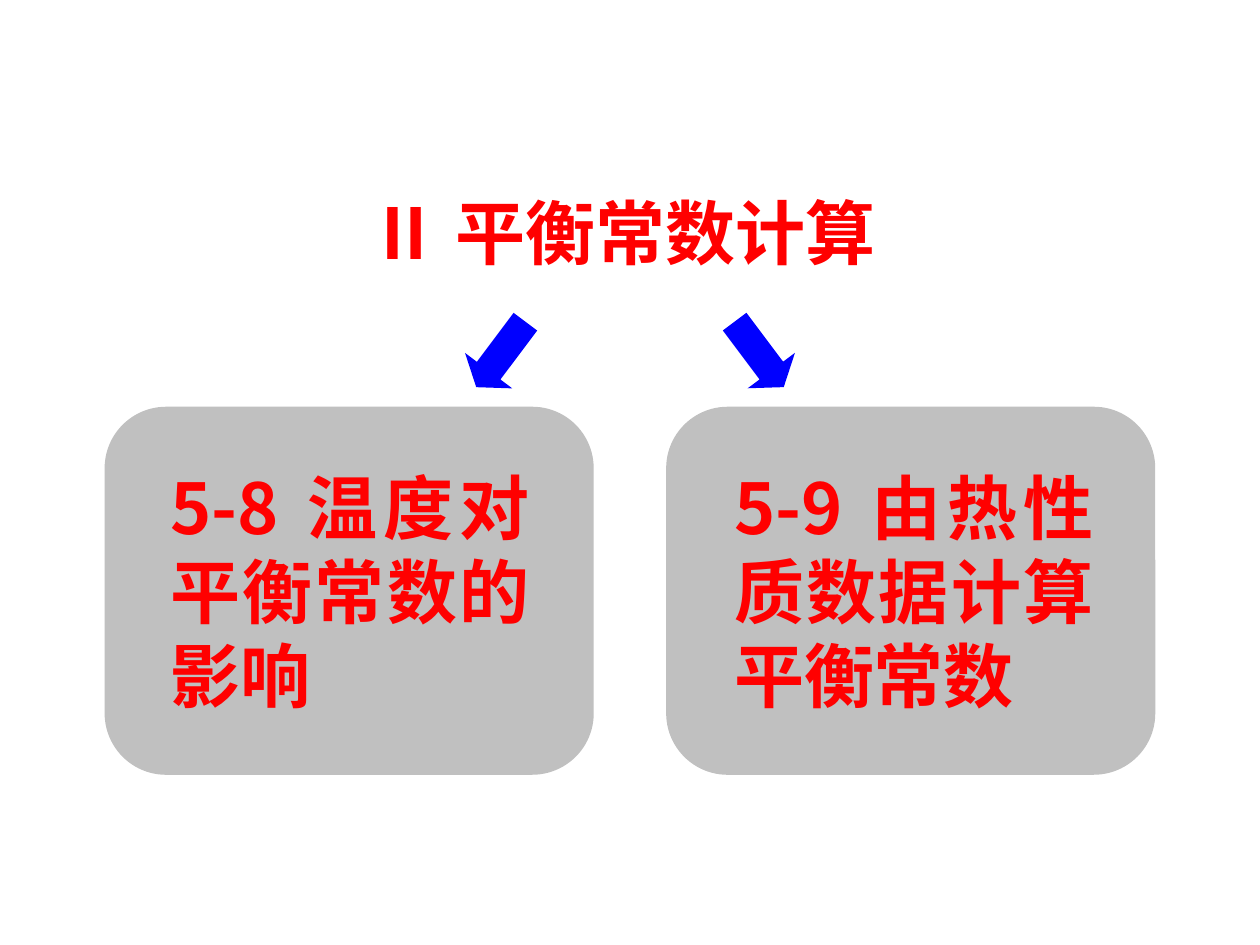
from pptx import Presentation
from pptx.dml.color import RGBColor
from pptx.enum.shapes import MSO_SHAPE
from pptx.enum.text import MSO_ANCHOR, MSO_AUTO_SIZE, PP_ALIGN
from pptx.oxml.ns import qn
from pptx.util import Cm, Pt
from lxml.etree import SubElement

FONT = "Noto Sans CJK SC"
COLORS = {"text": "FF0000", "card": "C0C0C0", "arrow": "0000FF"}
TITLE = "Ⅱ 平衡常数计算"
# wording, left edge of the text, turn of the arrow
TOPICS = [
    ("5-8 温度对平衡常数的影响", 3.18, 126.9),
    ("5-9 由热性质数据计算平衡常数", 14.55, 53.1),
]

# All lengths in centimetres
WIDE, HIGH = 25.4, 19.05
CARD_W, CARD_H, CARD_Y, EDGE = 9.86, 7.42, 8.2, 2.11
TEXT_W, TEXT_H = 7.75, 5.33
ARROW_W, ARROW_H, ARROW_Y, ARROW_X = 1.65, 1.19, 6.55, 9.27


def add_text(slide, words, box, align, wrap):
    frame = slide.shapes.add_textbox(*map(Cm, box)).text_frame
    frame.word_wrap = wrap
    frame.auto_size = MSO_AUTO_SIZE.SHAPE_TO_FIT_TEXT
    frame.vertical_anchor = MSO_ANCHOR.MIDDLE
    para = frame.paragraphs[0]
    para.alignment = align
    run = para.add_run()
    run.text = words
    font = run.font
    font.size, font.bold, font.name = Pt(40), True, FONT
    font.color.rgb = RGBColor.from_string(COLORS["text"])
    # East Asian glyphs take their own typeface
    SubElement(run._r.get_or_add_rPr(), qn("a:ea")).set("typeface", FONT)


def add_block(slide, kind, box, color, *adjust):
    shape = slide.shapes.add_shape(kind, *map(Cm, box))
    shape.shadow.inherit = False
    shape.fill.solid()
    shape.fill.fore_color.rgb = RGBColor.from_string(COLORS[color])
    shape.line.fill.background()
    for i, value in enumerate(adjust):
        shape.adjustments[i] = value
    return shape


def mirror(first, width):
    """Left edges of a pair placed evenly about the slide's middle."""
    return first, WIDE - first - width


deck = Presentation()
deck.slide_width, deck.slide_height = Cm(WIDE), Cm(HIGH)
slide = deck.slides.add_slide(deck.slide_layouts[6])

add_text(slide, TITLE, (6.93, 3.68, 11.23, 1.96), PP_ALIGN.CENTER, False)

cards = mirror(EDGE, CARD_W)
arrows = mirror(ARROW_X, ARROW_W)
text_y = CARD_Y + (CARD_H - TEXT_H) / 2
for (words, text_x, turn), card_x, arrow_x in zip(TOPICS, cards, arrows):
    add_block(slide, MSO_SHAPE.ROUNDED_RECTANGLE,
              (card_x, CARD_Y, CARD_W, CARD_H), "card", 0.167)
    add_text(slide, words, (text_x, text_y, TEXT_W, TEXT_H),
             PP_ALIGN.JUSTIFY, True)
    arrow = add_block(slide, MSO_SHAPE.RIGHT_ARROW,
                      (arrow_x, ARROW_Y, ARROW_W, ARROW_H), "arrow", 0.5, 0.35)
    arrow.rotation = turn

deck.save("out.pptx")
